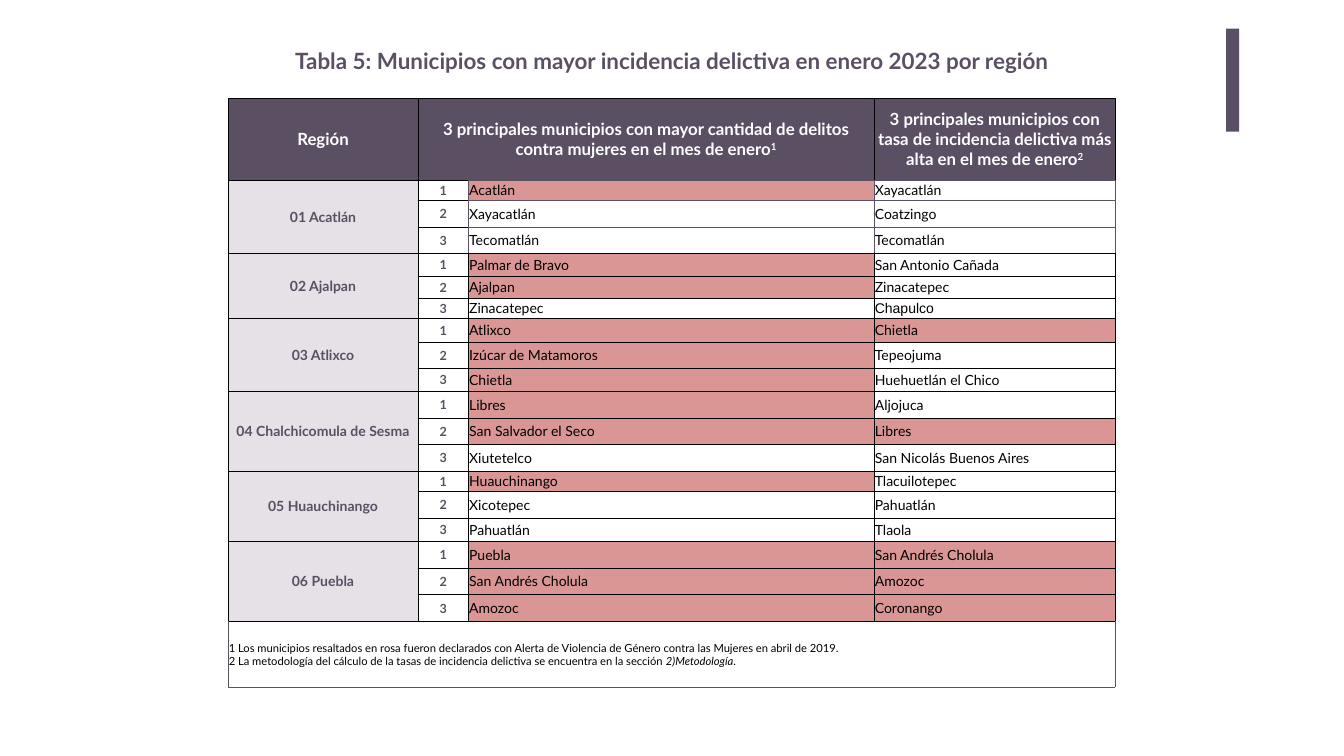
from pptx import Presentation
from pptx import util as u
from pptx.dml import color
from pptx.enum import shapes, text
from pptx.oxml import ns, xmlchemy

PX = 9144
COLORS = {"plum": "5B4F63", "lilac": "E5E1E7", "pink": "D99694",
          "white": "FFFFFF", "black": "000000"}
COLUMNS = [376, 101, 805, 478]
ROWS = [162, 40, 53, 53, 45, 43, 41, 46, 53, 45, 53, 53, 53, 40, 53, 46, 53, 53, 53, 130]
HEADER = "3 principales municipios con "
REGIONS = {
    "01 Acatlán": [("Acatlán", "Xayacatlán"), ("Xayacatlán", "Coatzingo"),
                   ("Tecomatlán", "Tecomatlán")],
    "02 Ajalpan": [("Palmar de Bravo", "San Antonio Cañada"), ("Ajalpan", "Zinacatepec"),
                   ("Zinacatepec", "Chapulco")],
    "03 Atlixco": [("Atlixco", "Chietla"), ("Izúcar de Matamoros", "Tepeojuma"),
                   ("Chietla", "Huehuetlán el Chico")],
    "04 Chalchicomula de Sesma": [("Libres", "Aljojuca"), ("San Salvador el Seco", "Libres"),
                                  ("Xiutetelco", "San Nicolás Buenos Aires")],
    "05 Huauchinango": [("Huauchinango", "Tlacuilotepec"), ("Xicotepec", "Pahuatlán"),
                        ("Pahuatlán", "Tlaola")],
    "06 Puebla": [("Puebla", "San Andrés Cholula"), ("San Andrés Cholula", "Amozoc"),
                  ("Amozoc", "Coronango")],
}
ALERT = {"Acatlán", "Palmar de Bravo", "Ajalpan", "Atlixco", "Izúcar de Matamoros", "Chietla",
         "Libres", "San Salvador el Seco", "Huauchinango", "Puebla", "San Andrés Cholula",
         "Amozoc", "Coronango"}


def rgb(name):
    return color.RGBColor.from_string(COLORS[name])


def add_span(para, words, size=20, ink="black", bold=False, italic=False, font="Lato", raised=False):
    span = para.add_run()
    span.text = words
    span.font.name = font
    span.font.size = u.Pt(size)
    span.font.bold = bold
    span.font.italic = italic
    span.font.color.rgb = rgb(ink)
    if raised:
        span._r.get_or_add_rPr().set("baseline", "30000")


def add_border(cell, side, ink, points):
    line = xmlchemy.OxmlElement(f"a:ln{side}")
    line.set("w", str(u.Pt(points)))
    fill = xmlchemy.OxmlElement("a:solidFill")
    value = xmlchemy.OxmlElement("a:srgbClr")
    value.set("val", COLORS[ink])
    fill.append(value)
    line.append(fill)
    cell._tc.get_or_add_tcPr().append(line)


class SlideBuilder:
    def __init__(self, page):
        self.page = page

    def title(self, words, x, y, width, height):
        box = self.page.shapes.title
        box.left, box.top, box.width, box.height = (n * PX for n in (x, y, width, height))
        frame = box.text_frame
        frame.word_wrap = True
        frame.auto_size = text.MSO_AUTO_SIZE.NONE
        frame.vertical_anchor = text.MSO_ANCHOR.TOP
        para = frame.paragraphs[0]
        para.alignment = text.PP_ALIGN.CENTER
        add_span(para, words, size=32, ink="plum", bold=True)

    def bar(self, x, y, width, height, fill):
        bar = self.page.shapes.add_shape(
            shapes.MSO_SHAPE.RECTANGLE, x * PX, y * PX, width * PX, height * PX)
        bar.shadow.inherit = False
        bar.fill.solid()
        bar.fill.fore_color.rgb = rgb(fill)
        bar.line.fill.background()

    def table(self, x, y, columns, rows):
        frame = self.page.shapes.add_table(
            len(rows), len(columns), x * PX, y * PX, sum(columns) * PX, sum(rows) * PX)
        table = frame.table
        table.first_row = table.horz_banding = False
        for column, width in zip(table.columns, columns):
            column.width = width * PX
        for row, height in zip(table.rows, rows):
            row.height = height * PX
        return table

    def cell(self, cell, borders, fill=None):
        cell.margin_left = cell.margin_top = cell.margin_right = PX
        cell.margin_bottom = 0
        cell.vertical_anchor = text.MSO_ANCHOR.MIDDLE
        for side, (ink, points) in zip("LRTB", borders):
            add_border(cell, side, ink, points)
        if fill:
            cell.fill.solid()
            cell.fill.fore_color.rgb = rgb(fill)
        else:
            cell.fill.background()

    def cell_text(self, cell, words, centered=False, note=None, **style):
        para = cell.text_frame.paragraphs[0]
        para.alignment = text.PP_ALIGN.CENTER if centered else text.PP_ALIGN.LEFT
        add_span(para, words, **style)
        if note:
            add_span(para, note, raised=True, **style)
        return para


def cell_look(row, column):
    dark, plum = ("black", 0.5), ("plum", 0.5)
    if row == 0:
        return [dark, dark, dark, plum if column == 3 else dark], "plum"
    if row == len(ROWS) - 1:
        return [("plum", 1), ("plum", 1), dark, ("plum", 1)], None
    if row <= 3 and column == 1:
        return [dark, plum, dark, dark], None
    if row <= 3 and column > 1:
        return [plum, plum, plum, dark if row == 3 else plum], "white"
    return [dark] * 4, ["lilac", None, "white", "white"][column]


def main():
    deck = Presentation()
    deck.slide_width, deck.slide_height = 2667 * PX, 1500 * PX
    builder = SlideBuilder(deck.slides.add_slide(deck.slide_layouts[5]))
    builder.bar(2433, 57, 26, 204, "plum")
    builder.title("Tabla 5: Municipios con mayor incidencia delictiva en enero 2023 por región",
                  422, 88, 1823, 64)
    table = builder.table(453, 195, COLUMNS, ROWS)
    last = len(ROWS) - 1

    towns = {}
    for group, pairs in enumerate(REGIONS.values()):
        for rank, pair in enumerate(pairs):
            for column, town in enumerate(pair, 2):
                towns[1 + group * 3 + rank, column] = town

    for row in range(len(ROWS)):
        for column in range(len(COLUMNS)):
            borders, fill = cell_look(row, column)
            if towns.get((row, column)) in ALERT:
                fill = "pink"
            builder.cell(table.cell(row, column), borders, fill)

    table.cell(0, 1).merge(table.cell(0, 2))
    table.cell(last, 0).merge(table.cell(last, 3))
    heading = dict(centered=True, size=24, ink="white", bold=True)
    builder.cell_text(table.cell(0, 0), "Región", **heading)
    builder.cell_text(table.cell(0, 1), HEADER + "mayor cantidad de delitos contra mujeres "
                      "en el mes de enero", note="1", **heading)
    builder.cell_text(table.cell(0, 3), HEADER + "tasa de incidencia delictiva más alta "
                      "en el mes de enero", note="2", **heading)

    label = dict(centered=True, ink="plum", bold=True)
    for group, region in enumerate(REGIONS):
        top = 1 + group * 3
        table.cell(top, 0).merge(table.cell(top + 2, 0))
        builder.cell_text(table.cell(top, 0), region, **label)
        for rank in range(3):
            builder.cell_text(table.cell(top + rank, 1), str(rank + 1), size=18, **label)
    for (row, column), town in towns.items():
        builder.cell_text(table.cell(row, column), town,
                          font="Arial" if town == "Chapulco" else "Lato")

    para = builder.cell_text(
        table.cell(last, 0), "1 Los municipios resaltados en rosa fueron declarados con Alerta "
        "de Violencia de Género contra las Mujeres en abril de 2019.", size=16)
    para.add_line_break()
    add_span(para, "2 La metodología del cálculo de la tasas de incidencia delictiva "
             "se encuentra en la sección ", size=16)
    add_span(para, "2)Metodología", size=16, italic=True)
    add_span(para, ".", size=16)
    deck.save("out.pptx")


if __name__ == "__main__":
    main()
